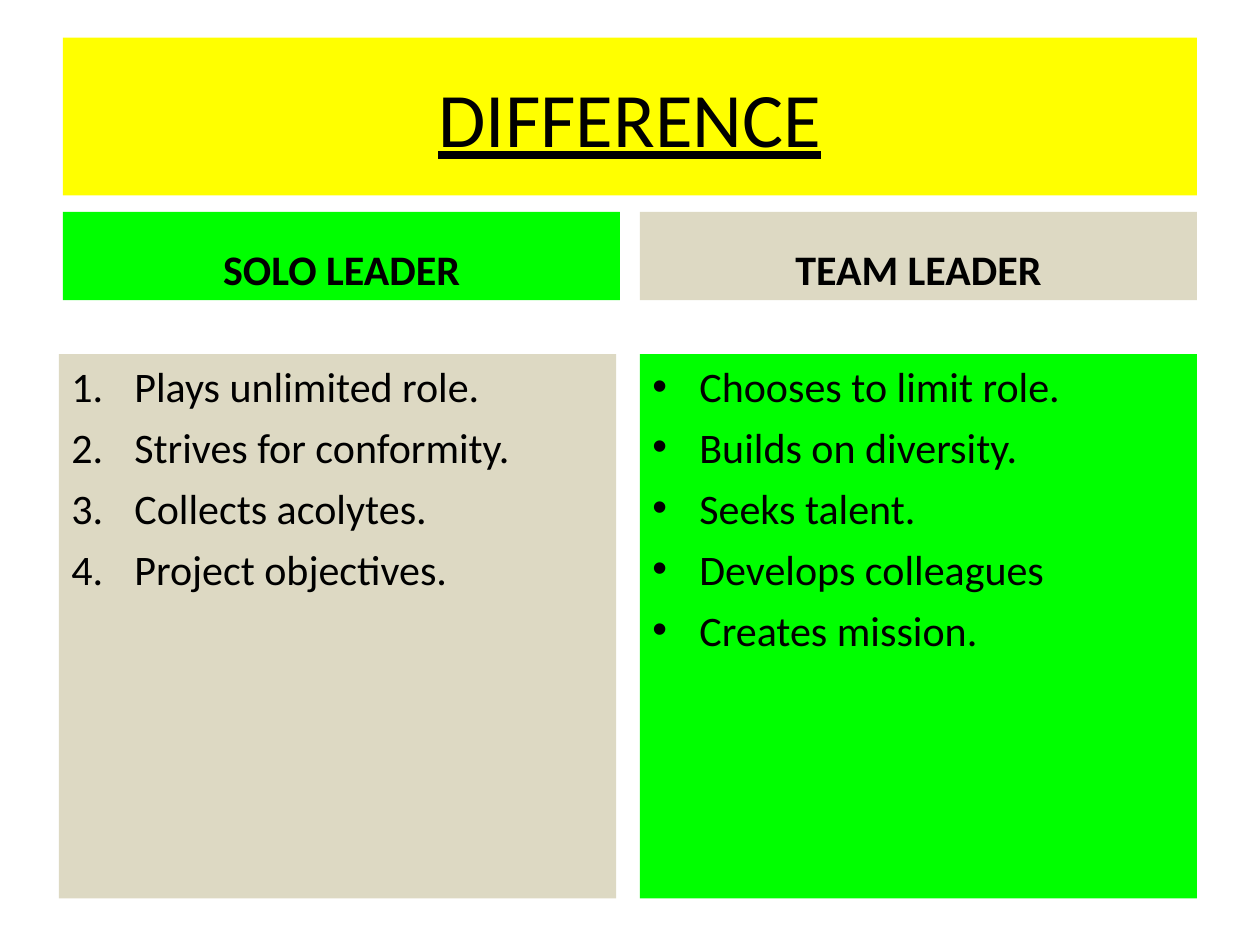
from dataclasses import dataclass

from lxml.etree import SubElement
from pptx import Presentation
from pptx.dml.color import RGBColor
from pptx.enum.shapes import MSO_SHAPE
from pptx.enum.text import MSO_ANCHOR, PP_ALIGN
from pptx.oxml.ns import qn
from pptx.util import Cm, Pt


@dataclass(frozen=True)
class Theme:
    font: str = "Calibri"
    text: str = "000000"
    yellow: str = "FFFF00"
    green: str = "00FF00"
    beige: str = "DDD9C3"
    title_size: int = 44
    body_size: int = 24
    paragraph_gap: int = 6


class SlideBuilder:
    def __init__(self, slide, theme):
        self.slide = slide
        self.theme = theme

    def panel(self, left, top, width, height, fill, anchor):
        shape = self.slide.shapes.add_shape(
            MSO_SHAPE.RECTANGLE, Cm(left), Cm(top), Cm(width), Cm(height))
        shape.shadow.inherit = False
        shape.fill.solid()
        shape.fill.fore_color.rgb = RGBColor.from_string(fill)
        shape.line.fill.background()
        shape.text_frame.word_wrap = True
        shape.text_frame.vertical_anchor = anchor
        return shape.text_frame

    def style(self, paragraph, size, alignment, bold=False, underline=False):
        paragraph.alignment = alignment
        for run in paragraph.runs:
            run.font.name = self.theme.font
            run.font.size = Pt(size)
            run.font.bold = bold
            run.font.underline = underline
            run.font.color.rgb = RGBColor.from_string(self.theme.text)

    def title(self, text, left, top, width, height):
        frame = self.panel(left, top, width, height,
                           self.theme.yellow, MSO_ANCHOR.MIDDLE)
        frame.text = text
        self.style(frame.paragraphs[0], self.theme.title_size,
                   PP_ALIGN.CENTER, underline=True)

    def heading(self, text, left, top, width, height, fill):
        frame = self.panel(left, top, width, height, fill, MSO_ANCHOR.BOTTOM)
        frame.text = text
        self.style(frame.paragraphs[0], self.theme.body_size,
                   PP_ALIGN.CENTER, bold=True)

    def marker(self, paragraph, numbered, indent):
        properties = paragraph._p.get_or_add_pPr()
        properties.set("marL", str(Cm(indent)))
        properties.set("indent", str(-Cm(indent)))
        color = SubElement(properties, qn("a:buClr"))
        SubElement(color, qn("a:srgbClr"), val=self.theme.text)
        if numbered:
            SubElement(properties, qn("a:buFont"), typeface=self.theme.font)
            SubElement(properties, qn("a:buAutoNum"), type="arabicPeriod")
        else:
            SubElement(properties, qn("a:buFont"), typeface="Arial")
            SubElement(properties, qn("a:buChar"), char="•")

    def item_list(self, items, left, top, width, height, fill, numbered, indent):
        frame = self.panel(left, top, width, height, fill, MSO_ANCHOR.TOP)
        frame.text = "\n".join(items)
        for index, paragraph in enumerate(frame.paragraphs):
            self.marker(paragraph, numbered, indent)
            if index:
                paragraph.space_before = Pt(self.theme.paragraph_gap)
            self.style(paragraph, self.theme.body_size, PP_ALIGN.LEFT)


def main():
    presentation = Presentation()
    presentation.slide_width = Cm(25.4)
    presentation.slide_height = Cm(19.05)
    slide = presentation.slides.add_slide(presentation.slide_layouts[6])
    theme = Theme()
    builder = SlideBuilder(slide, theme)

    margin, content_width, column_width = 1.27, 22.86, 11.23
    right_column = margin + content_width - column_width
    heading_top, heading_height = 4.27, 1.78
    list_top, list_height = 7.14, 10.97

    builder.title("DIFFERENCE", margin, 0.76, content_width, 3.18)

    builder.heading("SOLO LEADER", margin, heading_top,
                    column_width, heading_height, theme.green)
    builder.item_list(
        ["Plays unlimited role.", "Strives for conformity.",
         "Collects acolytes.", "Project objectives."],
        margin - 0.08, list_top, column_width, list_height,
        theme.beige, numbered=True, indent=1.27)

    builder.heading("TEAM LEADER", right_column, heading_top,
                    column_width, heading_height, theme.beige)
    builder.item_list(
        ["Chooses to limit role.", "Builds on diversity.", "Seeks talent.",
         "Develops colleagues", "Creates mission."],
        right_column, list_top, column_width, list_height,
        theme.green, numbered=False, indent=0.95)

    presentation.save("out.pptx")


if __name__ == "__main__":
    main()
